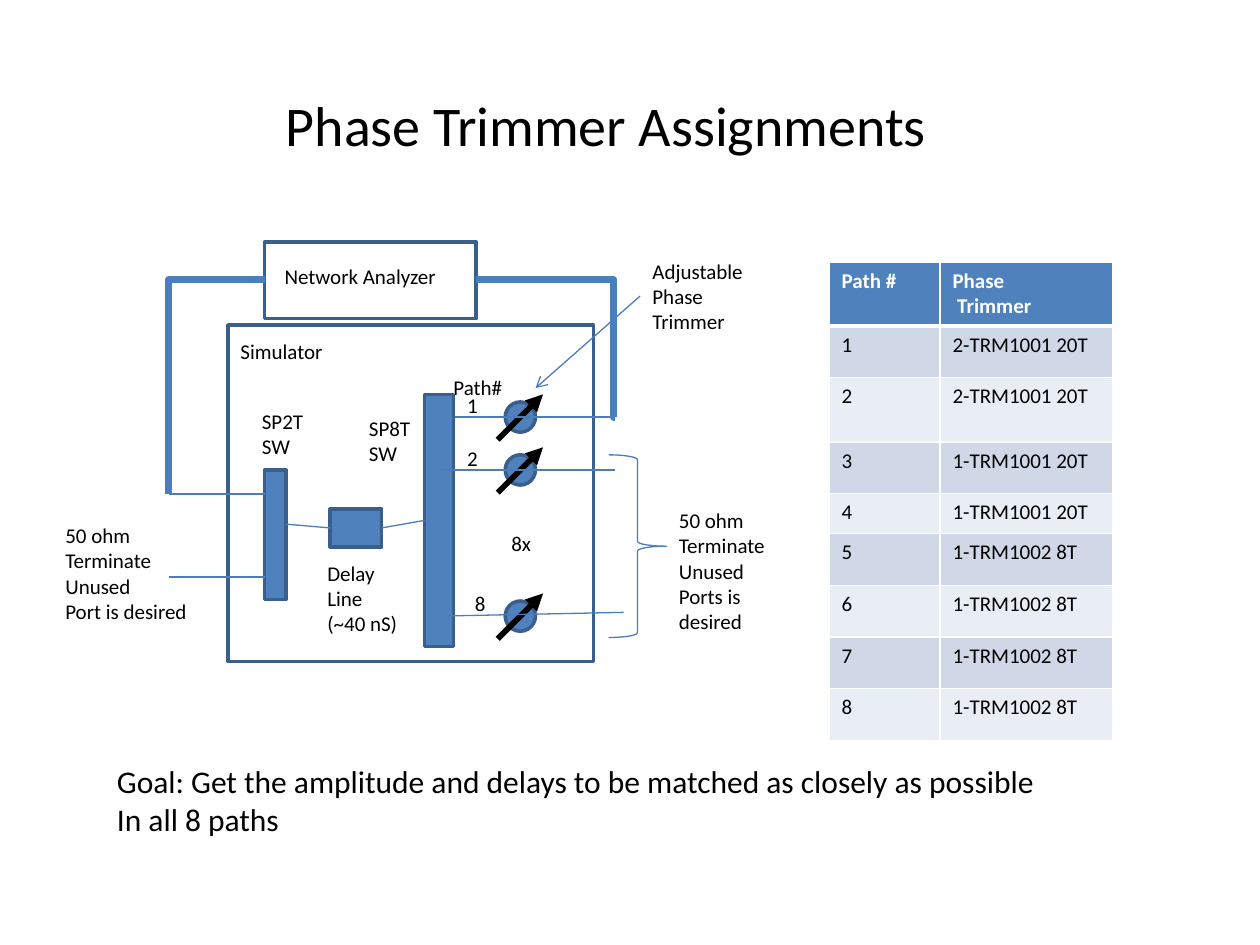
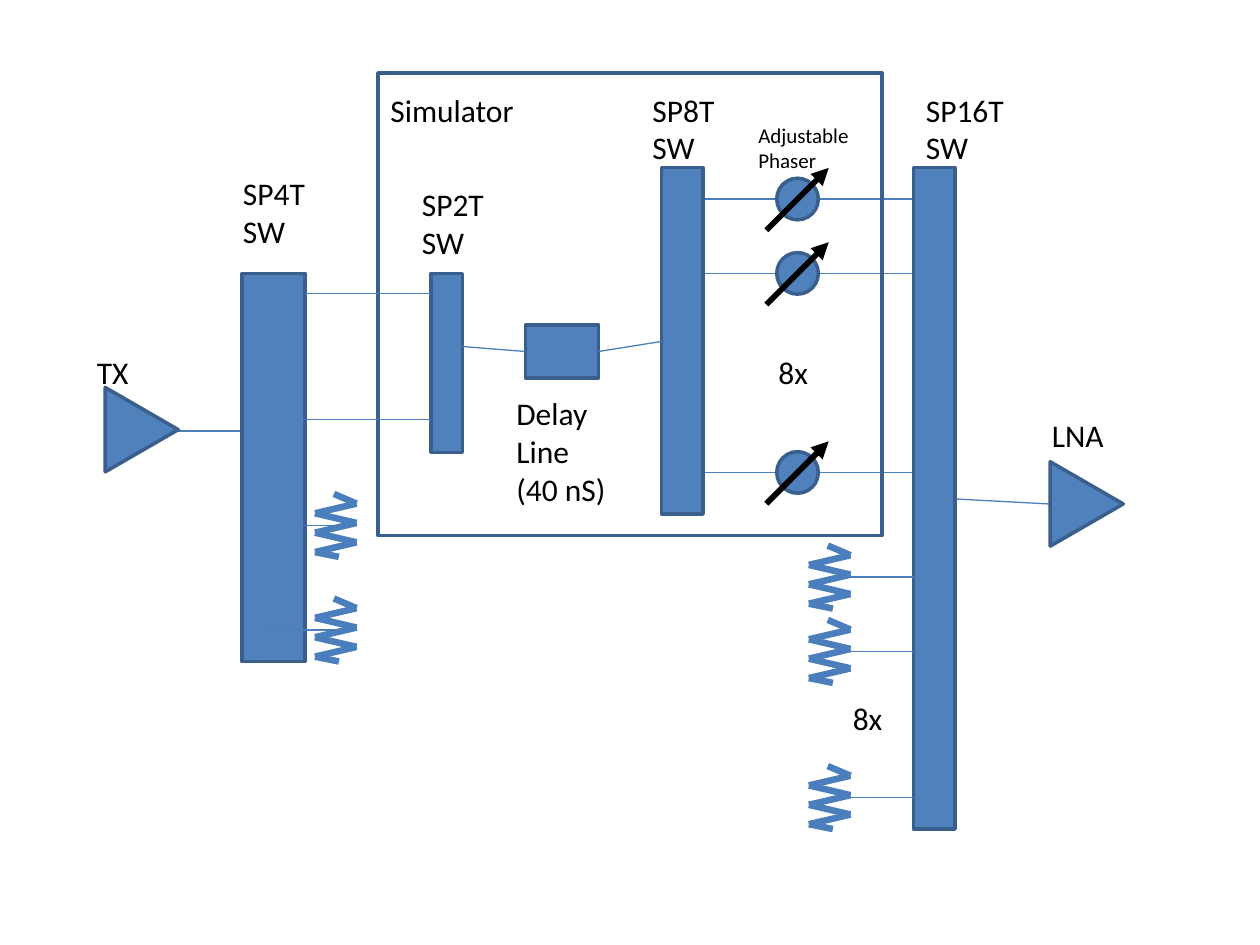
from lxml.etree import SubElement
from pptx import Presentation
from pptx.dml.color import RGBColor
from pptx.enum.shapes import MSO_CONNECTOR, MSO_SHAPE
from pptx.enum.text import MSO_AUTO_SIZE
from pptx.oxml.ns import qn
from pptx.util import Cm, Pt

COLORS = {
    "block": "4F81BD", "edge": "3A5F8C", "wire": "4B7EBC",
    "ink": "000000", "white": "FFFFFF", "odd": "D0D8E8", "even": "E9EDF4",
}
FONT = "Calibri"
GRID = 2.54

TRIMMERS = ["2-TRM1001 20T"] * 2 + ["1-TRM1001 20T"] * 2 + ["1-TRM1002 8T"] * 4
TABLE = {
    "at": (6.58, 2.08),
    "columns": (0.88, 1.37),
    "heights": (0.5, 0.41, 0.51, 0.41, 0.32, 0.41, 0.41, 0.41, 0.41),
    "rows": [("Path #", "Phase\n Trimmer")]
    + [(str(number), name) for number, name in enumerate(TRIMMERS, 1)],
}

ASSIGNMENTS = [
    ("table", [TABLE]),
    ("block", [(2.1, 3.73, 0.17, 1.03), (2.62, 4.04, 0.41, 0.3), (3.37, 3.13, 0.23, 2)]),
    ("phaser", [(4.13, y, 0.24) for y in (3.31, 3.73, 4.89)]),
    ("frame", [(1.81, 2.58, 2.9, 2.67), (2.1, 1.92, 1.68, 0.61)]),
    ("wire", [
        (2.27, 4.16, 2.62, 4.19), (3.03, 4.19, 3.37, 4.13),
        (2.1, 3.92, 1.34, 3.92), (2.1, 4.58, 1.34, 4.58),
        (3.61, 3.31, 4.88, 3.31), (3.49, 3.73, 4.88, 3.73), (3.49, 4.89, 4.95, 4.86),
    ]),
    ("cable", [
        (2.1, 2.22, 1.34, 3.92, 4, "bentConnector2", None),
        (3.78, 2.22, 4.88, 3.31, 4.25, "bentConnector3", 99200),
    ]),
    ("brace", [(4.83, 3.61, 0.46, 1.45)]),
    ("pointer", [(5.08, 2.35, 4.25, 3.08)]),
    ("label", [
        (3.96, 4.16, 0.36, 12, "8x"),
        (1.81, 2.64, 0.86, 12, "Simulator"),
        (2.5, 4.4, 0.76, 12, "Delay\nLine\n(~40 nS)"),
        (2.83, 3.25, 0.54, 12, "SP8T\nSW"),
        (5.08, 2, 0.93, 12, "Adjustable\nPhase\nTrimmer"),
        (1.98, 3.19, 0.54, 12, "SP2T\nSW"),
        (2.16, 2.04, 1.42, 12, "Network Analyzer"),
        (3.61, 3.07, 0.29, 12, "1"),
        (3.61, 3.49, 0.29, 12, "2"),
        (3.67, 4.64, 0.29, 12, "8"),
        (0.42, 4.1, 1.18, 12, "50 ohm\nTerminate\nUnused\nPort is desired"),
        (3.5, 2.92, 0.59, 12, "Path#"),
        (2.17, 0.67, 5.34, 32, "Phase Trimmer Assignments"),
        (0.83, 6, 7.67, 18, "Goal: Get the amplitude and delays to be matched"
                            " as closely as possible\nIn all 8 paths"),
    ]),
    ("note", [(5.29, 3.98, 1.04, 12, "50 ohm Terminate\nUnused Ports is desired")]),
]

PHASER_ROWS = (1.58, 2.17, 3.75)
SIGNAL_CHAIN = [
    ("wire", [(5.58, y, 7.25, y) for y in PHASER_ROWS]
     + [(7.58, 3.96, 8.33, 4), (1.92, 3.42, 1.33, 3.42)]),
    ("block", [
        (1.92, 2.17, 0.5, 3.08), (3.42, 2.17, 0.25, 1.42), (4.17, 2.58, 0.58, 0.42),
        (5.25, 1.33, 0.33, 2.75), (7.25, 1.33, 0.33, 5.25),
    ]),
    ("phaser", [(6.33, y, 0.33) for y in PHASER_ROWS]),
    ("amplifier", [(0.79, 3.12, 0.67, 0.58), (8.29, 3.71, 0.67, 0.58)]),
    ("frame", [(3, 0.58, 4, 3.67)]),
    ("wire", [
        (2.42, 2.33, 3.42, 2.33), (2.33, 3.33, 3.42, 3.33),
        (2.03, 4.17, 2.78, 4.17), (2.08, 5, 2.83, 5),
        (3.67, 2.75, 4.17, 2.79), (4.75, 2.79, 5.25, 2.71),
    ] + [(7.25, y, 6.58, y) for y in (4.58, 5.17, 6.33)]),
    ("resistor", [(2.5, 3.92), (2.5, 4.75), (6.42, 4.33), (6.42, 4.92), (6.42, 6.08)]),
    ("label", [
        (6.08, 2.75, 0.44, 18, "8x"),
        (3, 0.67, 1.19, 18, "Simulator"),
        (1.83, 1.33, 0.7, 18, "SP4T\nSW"),
        (4, 3.08, 0.92, 18, "Delay\nLine\n(40 nS)"),
        (5.08, 0.67, 0.7, 18, "SP8T\nSW"),
        (5.92, 0.92, 0.93, 12, "Adjustable\nPhaser"),
        (0.67, 2.75, 0.46, 18, "TX"),
        (8.25, 3.25, 0.62, 18, "LNA"),
        (3.25, 1.42, 0.7, 18, "SP2T\nSW"),
        (7.25, 0.67, 0.83, 18, "SP16T\nSW"),
        (6.67, 5.5, 0.44, 18, "8x"),
    ]),
]


def lengths(*values):
    return [Cm(value * GRID) for value in values]


def color(name):
    return RGBColor.from_string(COLORS[name])


def apply(target, formats):
    for name, value in formats.items():
        setattr(target, name, value)


def write(frame, text, size, ink="ink", bold=False):
    frame.text = text
    for paragraph in frame.paragraphs:
        for span in paragraph.runs:
            apply(span.font, {"name": FONT, "size": Pt(size), "bold": bold})
            span.font.color.rgb = color(ink)


def draw_shape(shapes, preset, at, fill="block", edge="edge", width=2, rotation=0):
    shape = shapes.add_shape(preset, *lengths(*at))
    shape.shadow.inherit = False
    if fill:
        shape.fill.solid()
        shape.fill.fore_color.rgb = color(fill)
    else:
        shape.fill.background()
    shape.line.color.rgb = color(edge)
    apply(shape.line, {"width": Pt(width)})
    apply(shape, {"rotation": rotation})


def draw_line(shapes, ends, ink="wire", width=0.75, head=None, kind=MSO_CONNECTOR.STRAIGHT):
    line = shapes.add_connector(kind, *lengths(*ends))
    line.line.color.rgb = color(ink)
    line.line.width = Pt(width)
    properties = line.element.spPr
    if head:
        SubElement(properties.find(qn("a:ln")), qn("a:tailEnd"), type=head)
    SubElement(properties, qn("a:effectLst"))
    return line


def draw_block(shapes, item):
    draw_shape(shapes, MSO_SHAPE.RECTANGLE, item)


def draw_frame(shapes, item):
    draw_shape(shapes, MSO_SHAPE.RECTANGLE, item, fill=None)


def draw_brace(shapes, item):
    draw_shape(shapes, MSO_SHAPE.RIGHT_BRACE, item, fill=None, edge="wire", width=0.75)


def draw_amplifier(shapes, item):
    draw_shape(shapes, MSO_SHAPE.ISOSCELES_TRIANGLE, item, rotation=90)


def draw_pointer(shapes, item):
    draw_line(shapes, item, head="arrow")


def draw_cable(shapes, item):
    *ends, width, preset, bend = item
    line = draw_line(shapes, ends, width=width, kind=MSO_CONNECTOR.ELBOW)
    geometry = line.element.spPr.find(qn("a:prstGeom"))
    geometry.set("prst", preset)
    if bend:
        SubElement(geometry.find(qn("a:avLst")), qn("a:gd"), name="adj1", fmla=f"val {bend}")


def draw_phaser(shapes, item):
    x, y, size = item
    reach = 0.75 * size
    group = shapes.add_group_shape().shapes
    draw_shape(group, MSO_SHAPE.OVAL, (x - size / 2, y - size / 2, size, size))
    draw_line(group, (x - reach, y + reach, x + reach, y - reach), "ink", 3.25, "triangle")


def draw_resistor(shapes, item):
    left, top = item
    offsets = [0.15] + [0.33, 0] * 3 + [0.19]
    points = [(left + x, top + min(row / 13, 0.5)) for row, x in enumerate(offsets)]
    group = shapes.add_group_shape().shapes
    for start, end in zip(points, points[1:]):
        draw_line(group, start + end, width=3.75)


def draw_label(shapes, item, wrap=False):
    left, top, width, size, text = item
    height = 0.1 + 1.2 * size / 72 * len(text.split("\n"))
    box = shapes.add_textbox(*lengths(left, top, width, height))
    write(box.text_frame, text, size)
    apply(box.text_frame, {"word_wrap": wrap, "auto_size": MSO_AUTO_SIZE.SHAPE_TO_FIT_TEXT})


def draw_note(shapes, item):
    draw_label(shapes, item, wrap=True)


def draw_borders(cell, widths):
    properties = cell._tc.get_or_add_tcPr()
    for side, width in widths.items():
        border = SubElement(properties, qn(f"a:ln{side}"), w=str(Pt(width)))
        fill = SubElement(border, qn("a:solidFill"))
        SubElement(fill, qn("a:srgbClr"), val=COLORS["white"])


def draw_table(shapes, item):
    rows, columns, heights = item["rows"], item["columns"], item["heights"]
    size = (sum(columns), sum(heights))
    table = shapes.add_table(len(rows), len(columns), *lengths(*item["at"], *size)).table
    for column, width in zip(table.columns, lengths(*columns)):
        column.width = width
    for number, (row, height) in enumerate(zip(table.rows, lengths(*heights))):
        row.height = height
        header = number == 0
        fill = "block" if header else ("odd" if number % 2 else "even")
        for cell, text in zip(row.cells, rows[number]):
            write(cell.text_frame, text, 12, "white" if header else "ink", header)
            draw_borders(cell, {"L": 1, "R": 1, "T": 3 if number == 1 else 1,
                                "B": 3 if header else 1})
            cell.fill.solid()
            cell.fill.fore_color.rgb = color(fill)


DRAW = {
    "table": draw_table, "block": draw_block, "frame": draw_frame, "brace": draw_brace,
    "amplifier": draw_amplifier, "wire": draw_line, "pointer": draw_pointer,
    "cable": draw_cable, "phaser": draw_phaser, "resistor": draw_resistor,
    "label": draw_label, "note": draw_note,
}

deck = Presentation()
apply(deck, {"slide_width": Cm(25.4), "slide_height": Cm(19.05)})
for layers in (ASSIGNMENTS, SIGNAL_CHAIN):
    page = deck.slides.add_slide(deck.slide_layouts[6])
    for kind, items in layers:
        for item in items:
            DRAW[kind](page.shapes, item)
deck.save("out.pptx")
